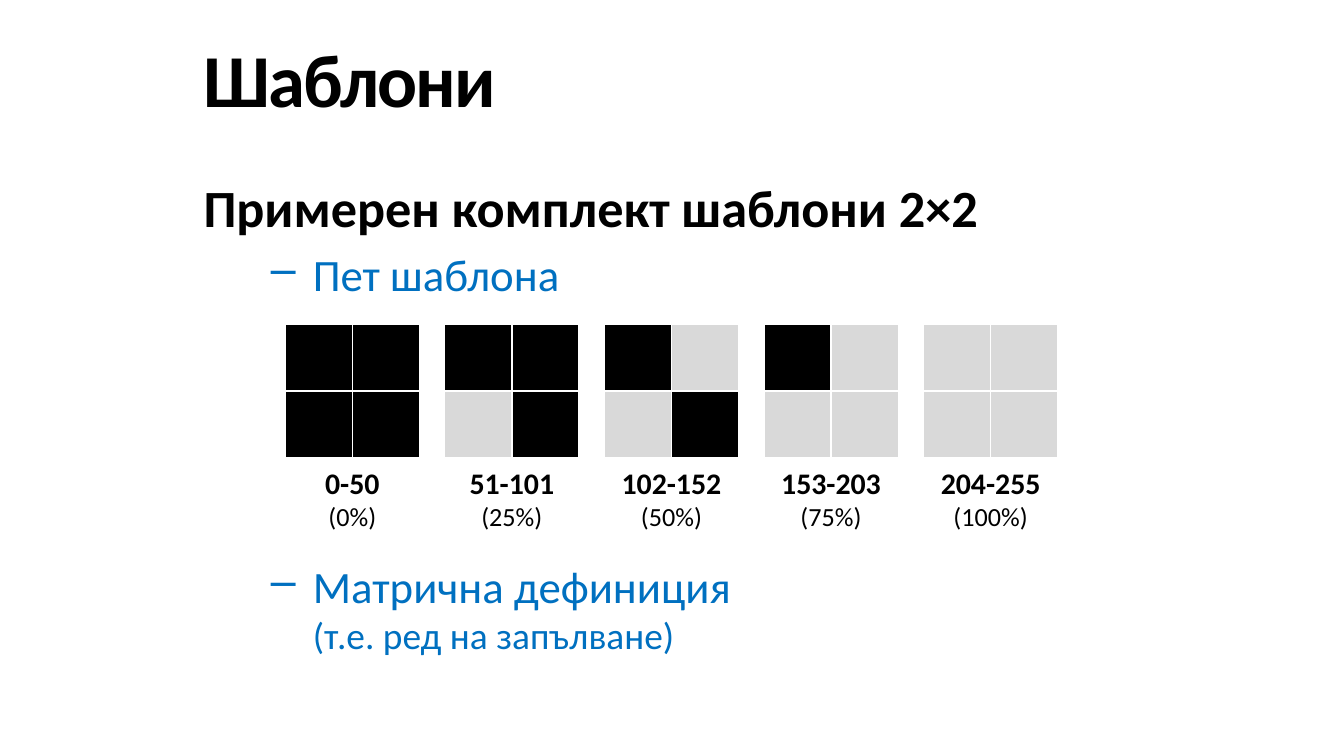
from lxml import etree
from pptx import Presentation
from pptx.dml.color import RGBColor
from pptx.enum.shapes import MSO_SHAPE
from pptx.enum.text import MSO_ANCHOR, MSO_AUTO_SIZE, PP_ALIGN
from pptx.oxml.ns import qn
from pptx.util import Pt

RECT = MSO_SHAPE.RECTANGLE
MIDDLE = MSO_ANCHOR.MIDDLE
NO_FIT = MSO_AUTO_SIZE.NONE
LEFT, CENTER = PP_ALIGN.LEFT, PP_ALIGN.CENTER
TITLE_ONLY = 5

COLORS = {"black": "000000", "blue": "0070C0", "gray": "D9D9D9", "white": "FFFFFF"}
FONT = "Calibri"

CELL = 36
PITCH = 85.5
LABEL_MARGIN = 3.6

# Cells run row by row; 1 is black.
PATTERNS = [
    ("0-50", "(0%)", (1, 1, 1, 1)),
    ("51-101", "(25%)", (1, 1, 0, 1)),
    ("102-152", "(50%)", (1, 0, 0, 1)),
    ("153-203", "(75%)", (1, 0, 0, 0)),
    ("204-255", "(100%)", (0, 0, 0, 0)),
]

# text, level, left margin, indent, bullet, space before, size, bold, color
BODY = [
    ("Примерен комплект шаблони 2×2", 0, 0, 0, None, 0, 28, True, "black"),
    ("Пет шаблона", 1, 58.5, -22.5, "–", 4.5, 24, False, "blue"),
    ("Матрична дефиниция", 1, 58.5, -22.5, "–", 138.5, 24, False, "blue"),
    ("(т.е. ред на запълване)", 2, 58.5, 0, None, 0, 20, False, "blue"),
]


def rgb(name):
    return RGBColor.from_string(COLORS[name])


def set_font(font, size, bold, color):
    values = {"name": FONT, "size": Pt(size), "bold": bold}
    for name, value in values.items():
        setattr(font, name, value)
    font.color.rgb = rgb(color)


def set_indent(p, margin, indent, bullet):
    pPr = p._p.get_or_add_pPr()
    pPr.set("marL", str(Pt(margin)))
    pPr.set("indent", str(Pt(indent)))
    if bullet:
        etree.SubElement(pPr, qn("a:buChar")).set("char", bullet)
    else:
        etree.SubElement(pPr, qn("a:buNone"))


def add_text_frame(slide, left, top, width, height):
    tf = slide.shapes.add_textbox(Pt(left), Pt(top), Pt(width), Pt(height)).text_frame
    tf.word_wrap = True
    return tf


def next_paragraph(tf, i):
    return tf.add_paragraph() if i else tf.paragraphs[0]


def fill_title(slide, left, top, width, height):
    sp = slide.shapes.title
    box = {"left": left, "top": top, "width": width, "height": height}
    for name, value in box.items():
        setattr(sp, name, Pt(value))
    tf = sp.text_frame
    tf.text = "Шаблони"
    tf.auto_size = NO_FIT
    tf.vertical_anchor = MIDDLE
    p = tf.paragraphs[0]
    p.alignment = LEFT
    r = p.runs[0]
    set_font(r.font, 40, True, "black")
    r._r.get_or_add_rPr().set("spc", "-100")


def add_body(slide, left, top, width, height):
    tf = add_text_frame(slide, left, top, width, height)
    tf.margin_top = Pt(5.5)
    for i, (text, level, margin, indent, bullet, before, *style) in enumerate(BODY):
        p = next_paragraph(tf, i)
        p.level = level
        p.space_before = Pt(before)
        set_indent(p, margin, indent, bullet)
        r = p.add_run()
        r.text = text
        set_font(r.font, *style)


def add_pattern(slide, left, top, cells):
    for i, on in enumerate(cells):
        row, col = divmod(i, 2)
        sp = slide.shapes.add_shape(
            RECT, Pt(left + col * CELL), Pt(top + row * CELL), Pt(CELL), Pt(CELL))
        sp.shadow.inherit = False
        sp.fill.solid()
        sp.fill.fore_color.rgb = rgb("black" if on else "gray")
        sp.line.color.rgb = rgb("white")
        sp.line.width = Pt(0.75)


def add_label(slide, left, top, width, height, levels, percent):
    tf = add_text_frame(slide, left, top, width, height)
    for i, (text, size, bold) in enumerate([(levels, 16, True), (percent, 14, False)]):
        p = next_paragraph(tf, i)
        p.alignment = CENTER
        r = p.add_run()
        r.text = text
        set_font(r.font, size, bold, "black")


def add_pattern_row(slide, left, top):
    for i, (levels, percent, cells) in enumerate(PATTERNS):
        x = left + i * PITCH
        add_pattern(slide, x, top, cells)
        add_label(slide, x - LABEL_MARGIN, top + 2 * CELL,
                  2 * (CELL + LABEL_MARGIN), 44, levels, percent)


def main():
    prs = Presentation()
    prs.slide_width, prs.slide_height = Pt(720), Pt(405)
    slide = prs.slides.add_slide(prs.slide_layouts[TITLE_ONLY])
    fill_title(slide, 102, 11, 618, 61)
    add_body(slide, 102, 88.5, 618, 294)
    add_pattern_row(slide, 152.75, 173.5)
    prs.save("out.pptx")


if __name__ == "__main__":
    main()
